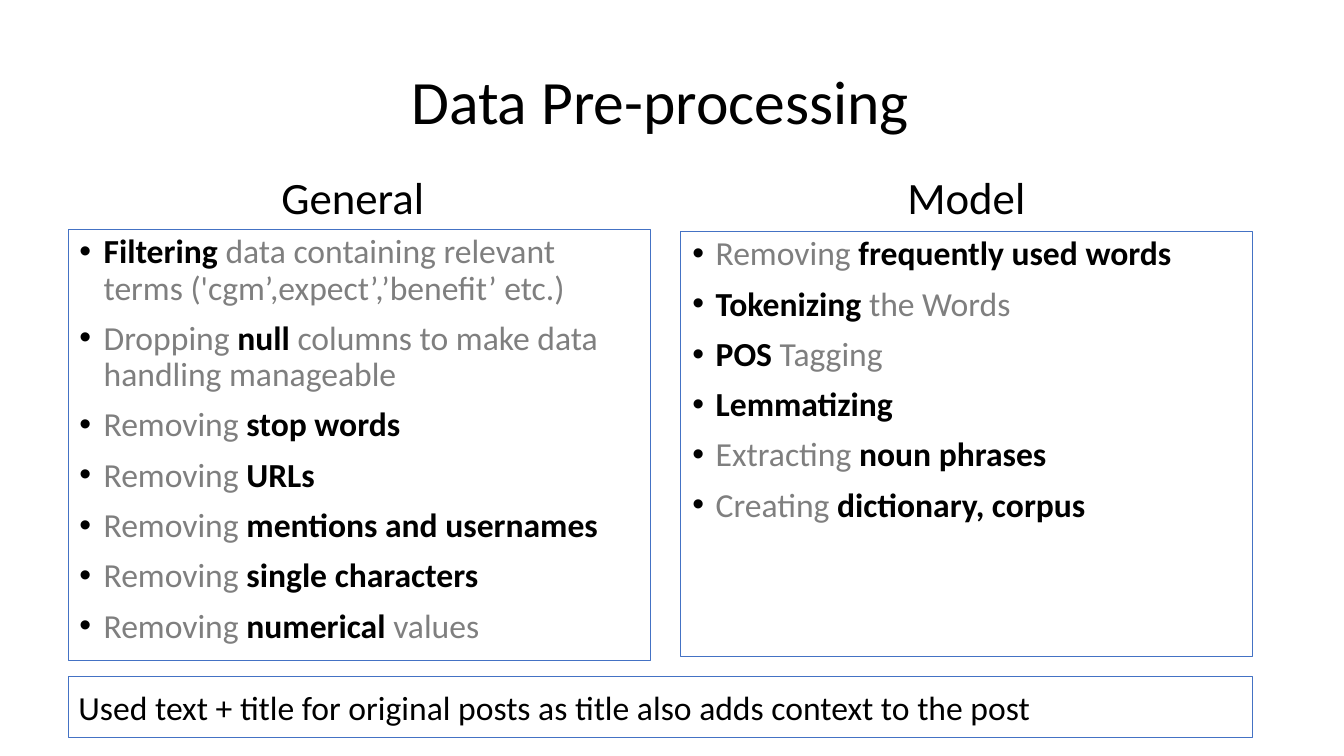
from dataclasses import dataclass

from lxml.etree import SubElement
from pptx import Presentation
from pptx.dml.color import RGBColor as Color
from pptx.enum.shapes import MSO_SHAPE as Preset
from pptx.enum.text import MSO_ANCHOR as Anchor, PP_ALIGN as Align
from pptx.oxml.ns import qn
from pptx.util import Inches, Pt


@dataclass(frozen=True)
class Theme:
    """Fonts, type sizes and colours of the slide."""
    font: str = "Calibri"
    title: int = 44
    heading: int = 32
    body: int = 24
    ink: str = "000000"
    muted: str = "7F7F7F"
    border: str = "4472C4"


class SlideBuilder:
    """Adds styled elements to the current slide."""

    def __init__(self, slide, theme):
        self.slide = slide
        self.theme = theme

    def style(self, font, size, color):
        """Apply typeface, size and colour to a font."""
        font.name = self.theme.font
        font.size = Pt(size)
        font.color.rgb = Color.from_string(color)

    def heading(self, text, box, size, anchor):
        """Add a centred heading without a border."""
        shape = self.slide.shapes.add_textbox(*map(Inches, box))
        frame = shape.text_frame
        frame.word_wrap = True
        frame.vertical_anchor = anchor
        paragraph = frame.paragraphs[0]
        paragraph.text = text
        paragraph.alignment = Align.CENTER
        paragraph.line_spacing = 0.9
        self.style(paragraph.font, size, self.theme.ink)

    def panel(self, box, margin=0.05):
        """Add an outlined rectangle and return its text frame."""
        shape = self.slide.shapes.add_shape(Preset.RECTANGLE, *map(Inches, box))
        shape.shadow.inherit = False
        shape.fill.background()
        shape.line.color.rgb = Color.from_string(self.theme.border)
        shape.line.width = Pt(0.75)
        frame = shape.text_frame
        frame.word_wrap = True
        frame.vertical_anchor = Anchor.TOP
        frame.margin_top = frame.margin_bottom = Inches(margin)
        return frame

    def bullets(self, items, box, hanging):
        """Add a panel of bullets, with words between asterisks in bold."""
        frame = self.panel(box)
        for index, item in enumerate(items):
            paragraph = frame.add_paragraph() if index else frame.paragraphs[0]
            paragraph.alignment = Align.LEFT
            paragraph.line_spacing = 0.9
            paragraph.space_before = Pt(10 if index else 0)
            self.bullet(paragraph, hanging)
            for position, text in enumerate(item.split("*")):
                if text:
                    strong = position % 2 == 1
                    run = paragraph.add_run()
                    run.text = text
                    run.font.bold = strong
                    color = self.theme.ink if strong else self.theme.muted
                    self.style(run.font, self.theme.body, color)

    def bullet(self, paragraph, hanging):
        """Give a paragraph a hanging round bullet."""
        properties = paragraph._p.get_or_add_pPr()
        properties.set("marL", str(Inches(0.25)))
        properties.set("indent", str(-Inches(hanging)))
        color = SubElement(properties, qn("a:buClr"))
        SubElement(color, qn("a:srgbClr"), val=self.theme.ink)
        SubElement(properties, qn("a:buFont"), typeface="Arial")
        SubElement(properties, qn("a:buChar"), char="•")

    def note(self, text, box):
        """Add an outlined note with one line of text."""
        paragraph = self.panel(box, margin=0.1).paragraphs[0]
        paragraph.text = text
        paragraph.alignment = Align.LEFT
        self.style(paragraph.font, self.theme.body, self.theme.ink)


GENERAL_STEPS = [
    "*Filtering* data containing relevant terms ('cgm’,expect’,’benefit’ etc.)",
    "Dropping *null *columns to make data handling manageable",
    "Removing *stop words*",
    "Removing *URLs*",
    "Removing *mentions and usernames*",
    "Removing *single characters*",
    "Removing *numerical* values",
]
MODEL_STEPS = [
    "Removing *frequently used words*",
    "*Tokenizing* the Words",
    "*POS* Tagging",
    "*Lemmatizing*",
    "Extracting *noun phrases*",
    "Creating *dictionary, corpus*",
]


def main():
    """Build and save the slide."""
    presentation = Presentation()
    presentation.slide_width = Inches(13.33)
    presentation.slide_height = Inches(7.5)
    slide = presentation.slides.add_slide(presentation.slide_layouts[6])
    theme = Theme()
    builder = SlideBuilder(slide, theme)
    left, middle, width = 0.68, 6.75, 11.74

    builder.heading("General", (left, 1.37, 5.64, 0.9), theme.heading, Anchor.BOTTOM)
    builder.bullets(GENERAL_STEPS, (left, 2.28, 5.77, 4.27), hanging=0.24)
    builder.heading("Model", (middle, 1.37, 5.67, 0.9), theme.heading, Anchor.BOTTOM)
    builder.bullets(MODEL_STEPS, (middle, 2.3, 5.67, 4.21), hanging=0.23)
    builder.heading("Data Pre-processing", (left, 0.31, width, 1.45),
                    theme.title, Anchor.MIDDLE)
    builder.note("Used text + title for original posts as title also adds context to the post",
                 (left, 6.71, width, 0.61))
    presentation.save("out.pptx")


if __name__ == "__main__":
    main()
